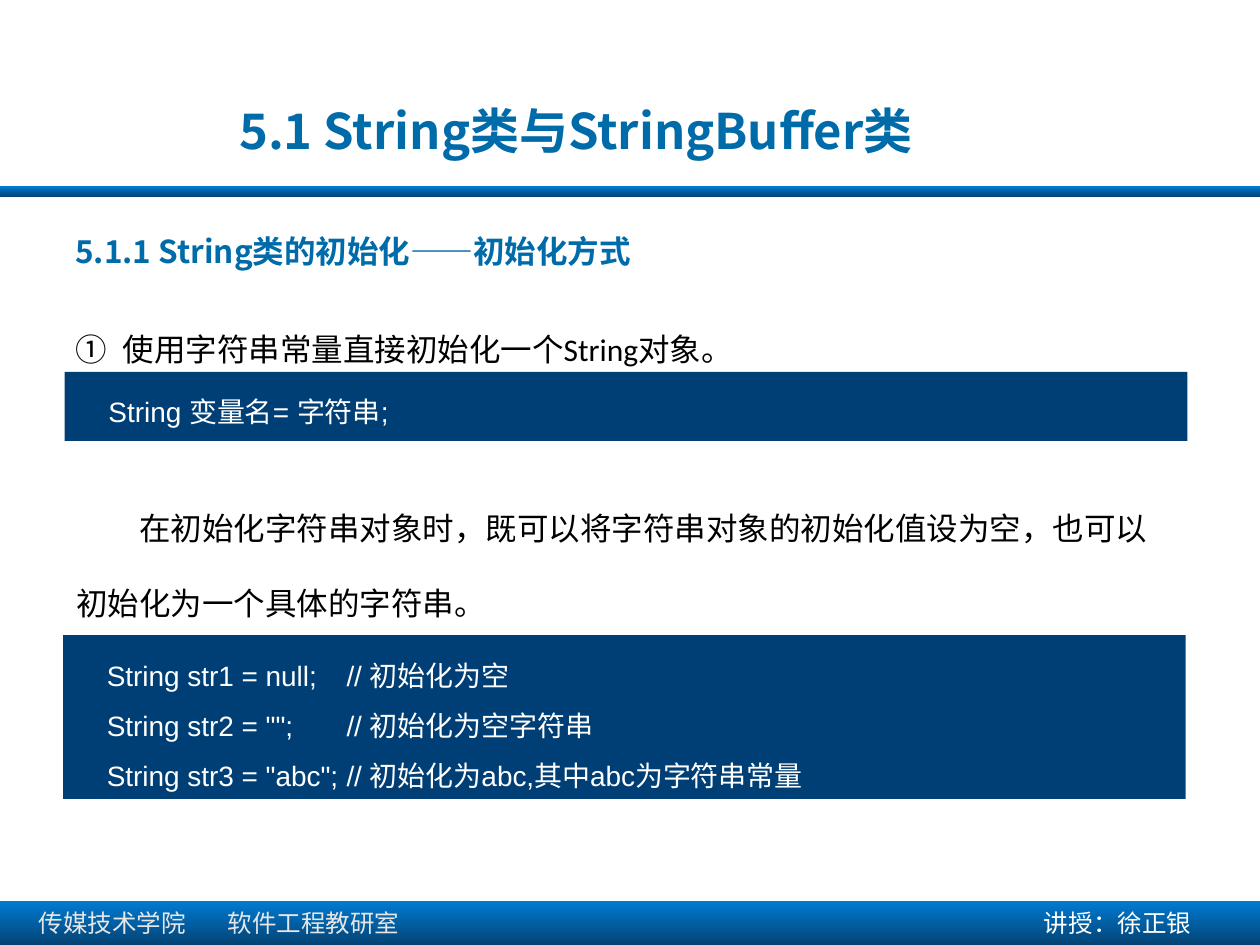
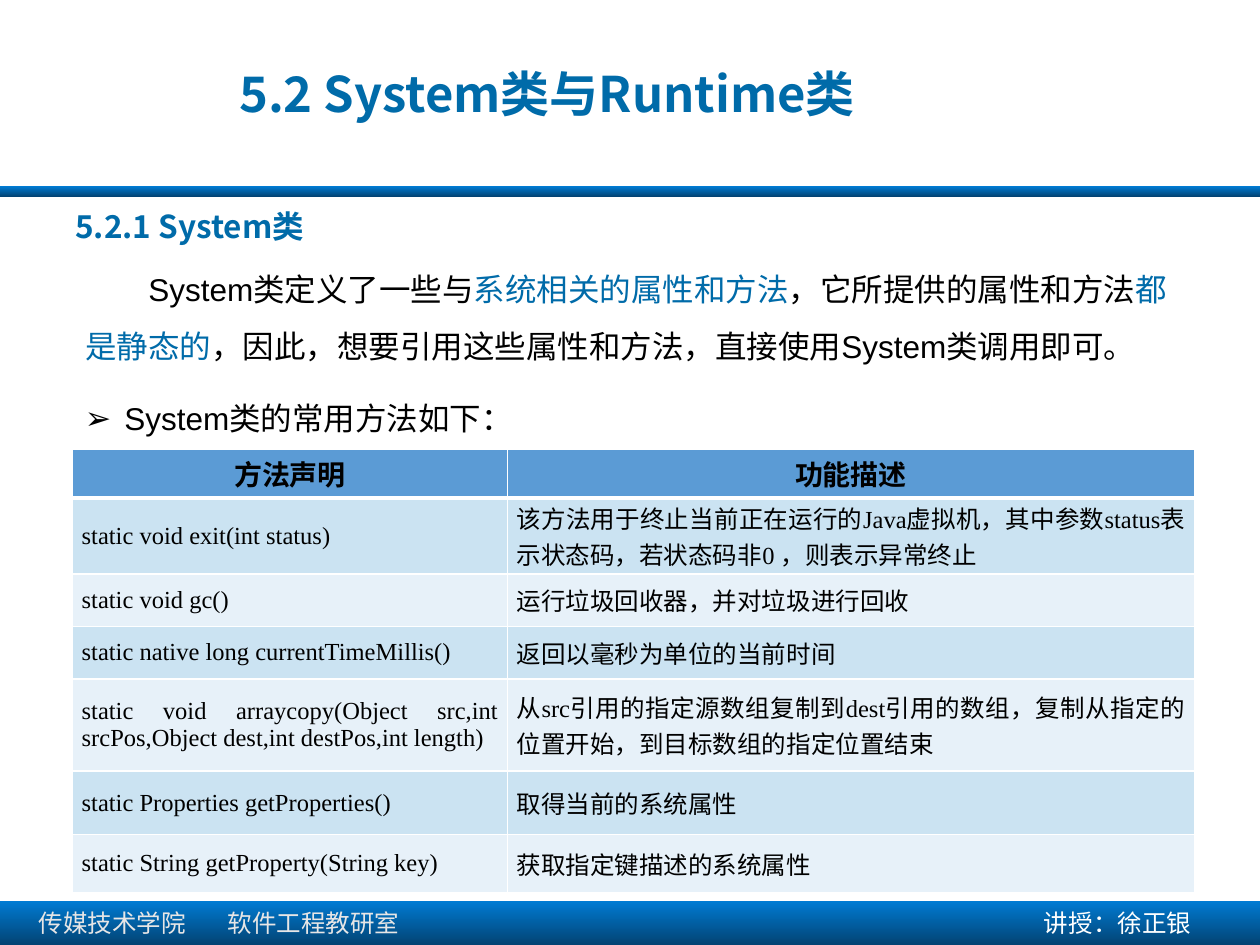
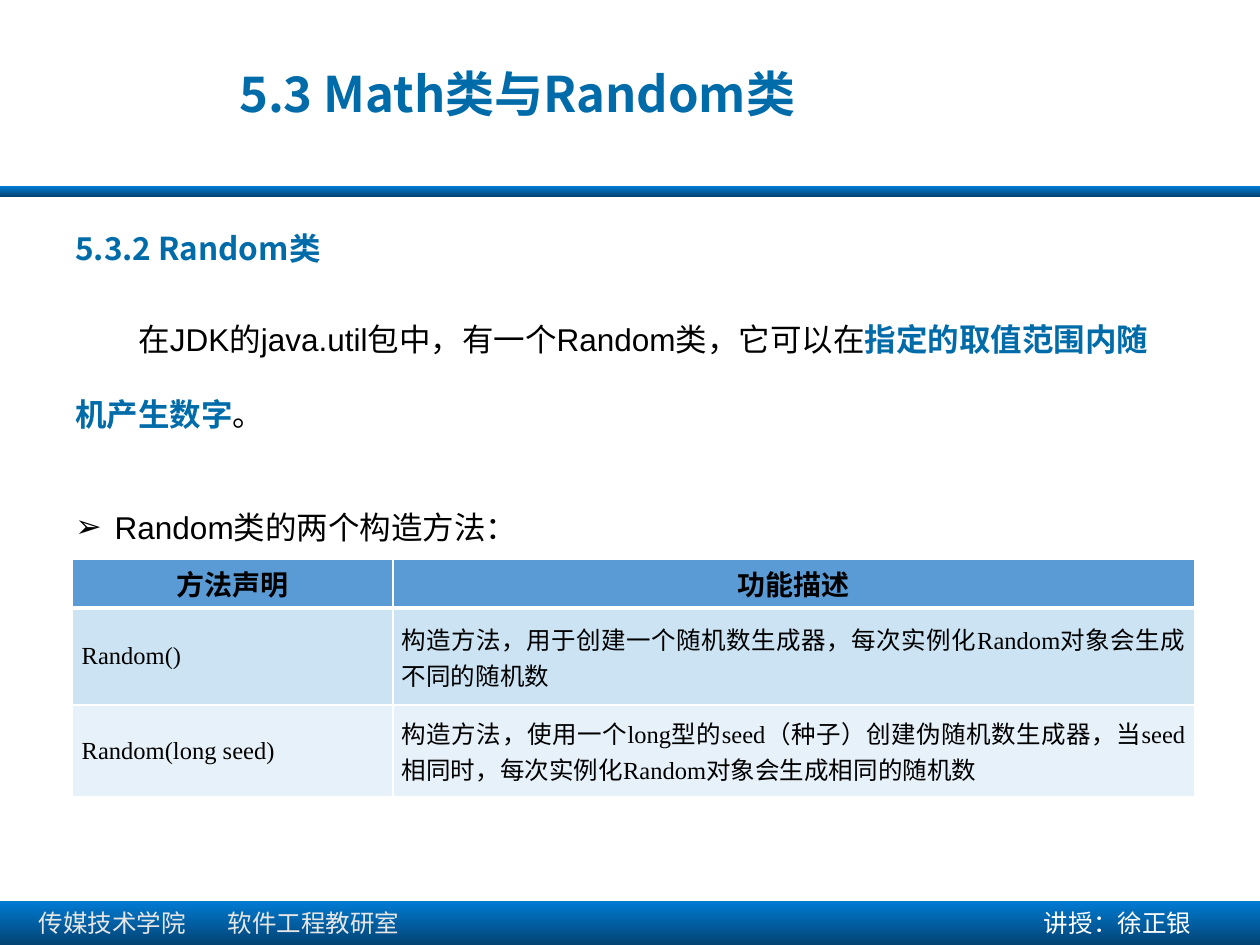
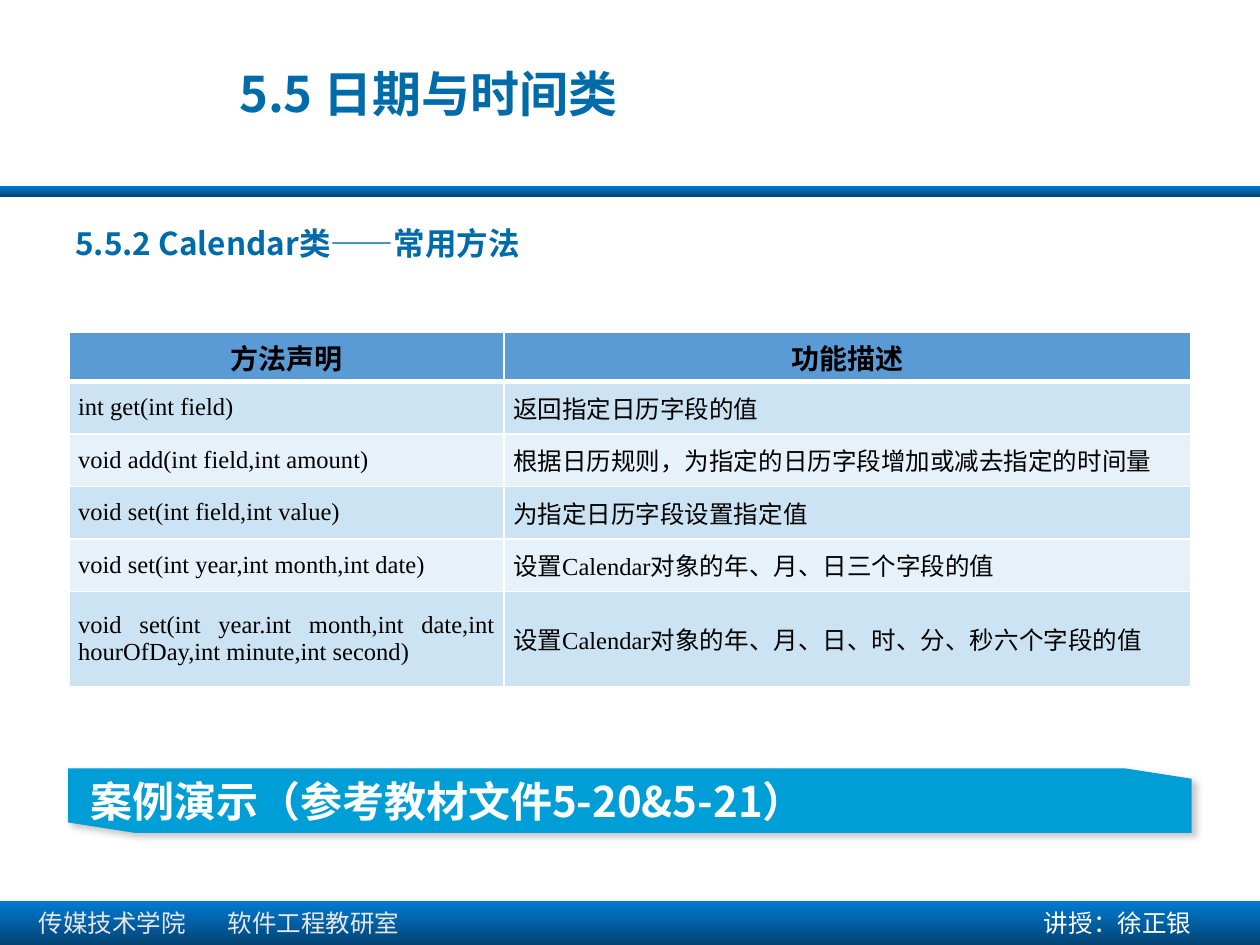
from dataclasses import dataclass, replace

from lxml.etree import SubElement
from pptx import Presentation
from pptx.dml.color import RGBColor
from pptx.enum.shapes import MSO_SHAPE
from pptx.enum.text import MSO_ANCHOR, MSO_AUTO_SIZE, PP_ALIGN
from pptx.oxml.ns import qn
from pptx.util import Pt


@dataclass(frozen=True)
class Theme:
    accent: str = "006BA9"
    code: str = "003F75"
    banner: str = "009ED6"
    shadow: str = "808080"
    band_top: str = "007BD3"
    band_bottom: str = "034373"
    pale: str = "E7E6E6"
    white: str = "FFFFFF"
    black: str = "000000"
    header_row: str = "5B9BD5"
    rows: tuple = ("CBE3F2", "E7F1F9")
    cjk: str = "Noto Sans CJK SC"
    title_size: int = 28
    banner_size: int = 24
    body_size: int = 18
    code_size: int = 16
    cell_size: int = 14


@dataclass(frozen=True)
class Style:
    size: int
    color: str
    font: str = "Arial"
    bold: bool = False


THEME = Theme()
TITLE = Style(THEME.title_size, THEME.accent, THEME.cjk, True)
HEADING = replace(TITLE, size=THEME.body_size)
BODY = Style(THEME.body_size, THEME.black)
ACCENT = replace(BODY, color=THEME.accent)
CODE = Style(THEME.code_size, THEME.white)
HEADER = Style(THEME.code_size, THEME.black, "Calibri", True)
CELL = Style(THEME.cell_size, THEME.black, "Times New Roman")
BANNER = Style(THEME.banner_size, THEME.white, THEME.cjk, True)
FOOTER = Style(THEME.cell_size, THEME.white)
COLUMN_HEADS = ("方法声明", "功能描述")


def rgb(value):
    return RGBColor.from_string(value)


def add_runs(paragraph, *parts):
    for text, style in parts:
        run = paragraph.add_run()
        run.text = text
        font = run.font
        font.name, font.size, font.bold = style.font, Pt(style.size), style.bold
        font.color.rgb = rgb(style.color)
        SubElement(run._r.get_or_add_rPr(), qn("a:ea"), typeface=THEME.cjk)


def set_indent(paragraph, left, first):
    props = paragraph._p.get_or_add_pPr()
    props.set("marL", str(Pt(left)))
    props.set("indent", str(Pt(first)))


def set_tab(paragraph, position):
    tabs = SubElement(paragraph._p.get_or_add_pPr(), qn("a:tabLst"))
    SubElement(tabs, qn("a:tab"), pos=str(Pt(position)), algn="l")


def add_text(slide, box, *parts, spacing=1.0, indent=(0, 0), grow=True):
    frame = slide.shapes.add_textbox(*map(Pt, box)).text_frame
    frame.word_wrap = True
    frame.auto_size = MSO_AUTO_SIZE.SHAPE_TO_FIT_TEXT if grow else MSO_AUTO_SIZE.NONE
    paragraph = frame.paragraphs[0]
    paragraph.line_spacing = spacing
    set_indent(paragraph, *indent)
    add_runs(paragraph, *parts)
    return paragraph


def add_bullet(slide, box, *parts, hang=22.5, number=None):
    paragraph = add_text(slide, box, *parts, spacing=2.0, indent=(hang, -hang))
    props = paragraph._p.get_or_add_pPr()
    if number:
        SubElement(props, qn("a:buAutoNum"), type=number)
    else:
        SubElement(props, qn("a:buFont"), typeface="Arial")
        SubElement(props, qn("a:buChar"), char="➢")


def add_band(slide, top, height):
    band = slide.shapes.add_shape(MSO_SHAPE.RECTANGLE, 0, Pt(top), Pt(720), Pt(height))
    band.shadow.inherit = False
    band.line.fill.background()
    band.fill.gradient()
    band.fill.gradient_angle = 270
    for stop, color in zip(band.fill.gradient_stops, (THEME.band_top, THEME.band_bottom)):
        stop.color.rgb = rgb(color)


def build_master(deck, slide):
    add_band(slide, 106.5, 6)
    add_band(slide, 515, 25)
    school = add_text(slide, (15, 515.5, 272, 24.5),
                      ("传媒技术学院\t软件工程教研室", replace(FOOTER, color=THEME.pale)))
    set_tab(school, 117)
    add_text(slide, (589.5, 515.5, 128, 24.5), ("讲授：徐正银", FOOTER))
    master_shapes = deck.slide_master.shapes.element
    for shape in list(slide.shapes):
        if not shape.is_placeholder:
            master_shapes.append(shape.element)


def add_slide(deck, title, heading, heading_top, title_top=31):
    slide = deck.slides.add_slide(deck.slide_layouts[5])
    if len(deck.slides) == 1:
        build_master(deck, slide)
    holder = slide.shapes.title
    holder.left, holder.top, holder.width, holder.height = map(Pt, (129.5, title_top, 420, 44))
    frame = holder.text_frame
    frame.word_wrap = True
    frame.auto_size = MSO_AUTO_SIZE.NONE
    frame.vertical_anchor = MSO_ANCHOR.MIDDLE
    paragraph = frame.paragraphs[0]
    paragraph.alignment = PP_ALIGN.LEFT
    set_indent(paragraph, 44.5, -44.5)
    add_runs(paragraph, (title, TITLE))
    add_text(slide, (36, heading_top, 648, 51), (heading, HEADING), grow=False)
    return slide


def add_code(slide, box, *lines):
    panel = slide.shapes.add_shape(MSO_SHAPE.RECTANGLE, *map(Pt, box))
    panel.shadow.inherit = False
    panel.fill.solid()
    panel.fill.fore_color.rgb = rgb(THEME.code)
    panel.line.fill.background()
    frame = panel.text_frame
    frame.word_wrap = True
    frame.vertical_anchor = MSO_ANCHOR.TOP
    frame.margin_left = Pt(25)
    for index, line in enumerate(lines):
        paragraph = frame.add_paragraph() if index else frame.paragraphs[0]
        paragraph.alignment = PP_ALIGN.LEFT
        paragraph.line_spacing = 1.5
        if "\t" in line:
            set_tab(paragraph, 137)
        add_runs(paragraph, (line, CODE))


def set_borders(cell, top, bottom):
    props = cell._tc.get_or_add_tcPr()
    for side, width in (("L", 1), ("R", 1), ("T", top), ("B", bottom)):
        edge = SubElement(props, qn(f"a:ln{side}"), w=str(Pt(width)))
        fill = SubElement(edge, qn("a:solidFill"))
        SubElement(fill, qn("a:srgbClr"), val=THEME.white)


def add_methods(slide, left, top, widths, heights, methods, header=HEADER):
    rows = (COLUMN_HEADS, *methods)
    table = slide.shapes.add_table(len(rows), len(widths), Pt(left), Pt(top),
                                   Pt(sum(widths)), Pt(sum(heights))).table
    table.first_row = table.horz_banding = False
    for column, width in zip(table.columns, widths):
        column.width = Pt(width)
    for r, (texts, height) in enumerate(zip(rows, heights)):
        table.rows[r].height = Pt(height)
        for c, text in enumerate(texts):
            cell = table.cell(r, c)
            set_borders(cell, 3 if r == 1 else 1, 3 if r == 0 else 1)
            cell.fill.solid()
            cell.fill.fore_color.rgb = rgb(THEME.rows[(r - 1) % 2] if r else THEME.header_row)
            cell.vertical_anchor = MSO_ANCHOR.MIDDLE
            cell.margin_left = cell.margin_right = Pt(5.2)
            cell.margin_top = cell.margin_bottom = 0
            paragraph = cell.text_frame.paragraphs[0]
            paragraph.alignment = PP_ALIGN.JUSTIFY if r else PP_ALIGN.CENTER
            add_runs(paragraph, (text, CELL if r else header))


def add_banner(slide, left, top, width, height, text):
    right, bottom, cut_x, cut_y = left + width, top + height, 38.5, 6
    corners = [(right - cut_x, top), (right, top + cut_y), (right, bottom),
               (left + cut_x, bottom), (left, bottom - cut_y)]
    outline = slide.shapes.build_freeform(Pt(left), Pt(top))
    outline.add_line_segments([(Pt(x), Pt(y)) for x, y in corners], close=True)
    banner = outline.convert_to_shape()
    banner.fill.solid()
    banner.fill.fore_color.rgb = rgb(THEME.banner)
    banner.line.fill.background()
    banner.shadow.inherit = False
    effects = banner.element.spPr.find(qn("a:effectLst"))
    shadow = SubElement(effects, qn("a:outerShdw"), blurRad=str(Pt(4)), dist=str(Pt(3)),
                        dir="2700000", algn="tl", rotWithShape="0")
    color = SubElement(shadow, qn("a:srgbClr"), val=THEME.shadow)
    SubElement(color, qn("a:alpha"), val="43000")
    frame = banner.text_frame
    frame.word_wrap = True
    frame.vertical_anchor = MSO_ANCHOR.MIDDLE
    frame.margin_left = Pt(12.5)
    frame.margin_top = frame.margin_bottom = 0
    frame.paragraphs[0].alignment = PP_ALIGN.LEFT
    add_runs(frame.paragraphs[0], (text, BANNER))


def string_slide(deck):
    slide = add_slide(deck, "5.1 String类与StringBuffer类",
                      "5.1.1 String类的初始化——初始化方式", 129, title_top=52)
    add_bullet(slide, (36, 163.5, 643.5, 44.5),
               ("使用字符串常量直接初始化一个String对象", replace(BODY, font="Calibri")),
               ("。", BODY), hang=27, number="circleNumDbPlain")
    add_code(slide, (37, 212.5, 641.5, 39.5), "String 变量名= 字符串;")
    add_text(slide, (36.5, 265.5, 641.5, 88),
             ("在初始化字符串对象时，既可以将字符串对象的初始化值设为空，"
              "也可以初始化为一个具体的字符串。", BODY), spacing=2.0, indent=(0, 36))
    add_code(slide, (36, 363, 641.5, 93.5),
             "String str1 = null;\t// 初始化为空",
             "String str2 = \"\";\t// 初始化为空字符串",
             "String str3 = \"abc\";\t// 初始化为abc,其中abc为字符串常量")


def system_slide(deck):
    slide = add_slide(deck, "5.2 System类与Runtime类", "5.2.1 System类", 115)
    add_text(slide, (41.75, 140, 636.5, 72.5),
             ("System类定义了一些与", BODY), ("系统相关的属性和方法", ACCENT),
             ("，它所提供的属性和方法", BODY), ("都是静态的", ACCENT),
             ("，因此，想要引用这些属性和方法，直接使用System类调用即可。", BODY),
             spacing=1.5, indent=(0, 36))
    add_bullet(slide, (41.5, 203, 642, 51), ("System类的常用方法如下：", BODY))
    add_methods(slide, 41.5, 256.5, (248.5, 392.5), (28, 43.5, 30, 30, 52.5, 36.5, 33), (
        ("static void exit(int status)",
         "该方法用于终止当前正在运行的Java虚拟机，其中参数status表示状态码，若状态码非0 ，则表示异常终止"),
        ("static void gc()", "运行垃圾回收器，并对垃圾进行回收"),
        ("static native long currentTimeMillis()", "返回以毫秒为单位的当前时间"),
        ("static void arraycopy(Object src,int srcPos,Object dest,int destPos,int length)",
         "从src引用的指定源数组复制到dest引用的数组，复制从指定的位置开始，到目标数组的指定位置结束"),
        ("static Properties getProperties()", "取得当前的系统属性"),
        ("static String getProperty(String key)", "获取指定键描述的系统属性"),
    ))


def random_slide(deck):
    slide = add_slide(deck, "5.3 Math类与Random类", "5.3.2 Random类", 127.5)
    add_text(slide, (36, 157.5, 643, 88),
             ("在JDK的java.util包中，有一个Random类，它可以在", BODY),
             ("指定的取值范围内随机产生数字", replace(ACCENT, bold=True)), ("。", BODY),
             spacing=2.0, indent=(0, 36))
    add_bullet(slide, (36, 265, 648, 44), ("Random类的两个构造方法：", BODY))
    add_methods(slide, 41.5, 319.5, (183, 458), (28, 55.5, 52.5), (
        ("Random()", "构造方法，用于创建一个随机数生成器，每次实例化Random对象会生成不同的随机数"),
        ("Random(long seed)",
         "构造方法，使用一个long型的seed（种子）创建伪随机数生成器，当seed相同时，"
         "每次实例化Random对象会生成相同的随机数"),
    ))


def calendar_slide(deck):
    slide = add_slide(deck, "5.5 日期与时间类", "5.5.2 Calendar类——常用方法", 124.5)
    add_methods(slide, 39.5, 190, (248.5, 392.5), (28, 30, 30, 30, 30, 54.5), (
        ("int get(int field)", "返回指定日历字段的值"),
        ("void add(int field,int amount)", "根据日历规则，为指定的日历字段增加或减去指定的时间量"),
        ("void set(int field,int value)", "为指定日历字段设置指定值"),
        ("void set(int year,int month,int date)", "设置Calendar对象的年、月、日三个字段的值"),
        ("void set(int year.int month,int date,int hourOfDay,int minute,int second)",
         "设置Calendar对象的年、月、日、时、分、秒六个字段的值"),
    ), header=replace(HEADER, font="Times New Roman"))
    add_banner(slide, 39, 439, 642, 37, "案例演示（参考教材文件5-20&5-21）")


def main():
    deck = Presentation()
    deck.slide_width, deck.slide_height = Pt(720), Pt(540)
    string_slide(deck)
    system_slide(deck)
    random_slide(deck)
    calendar_slide(deck)
    deck.save("out.pptx")


main()
